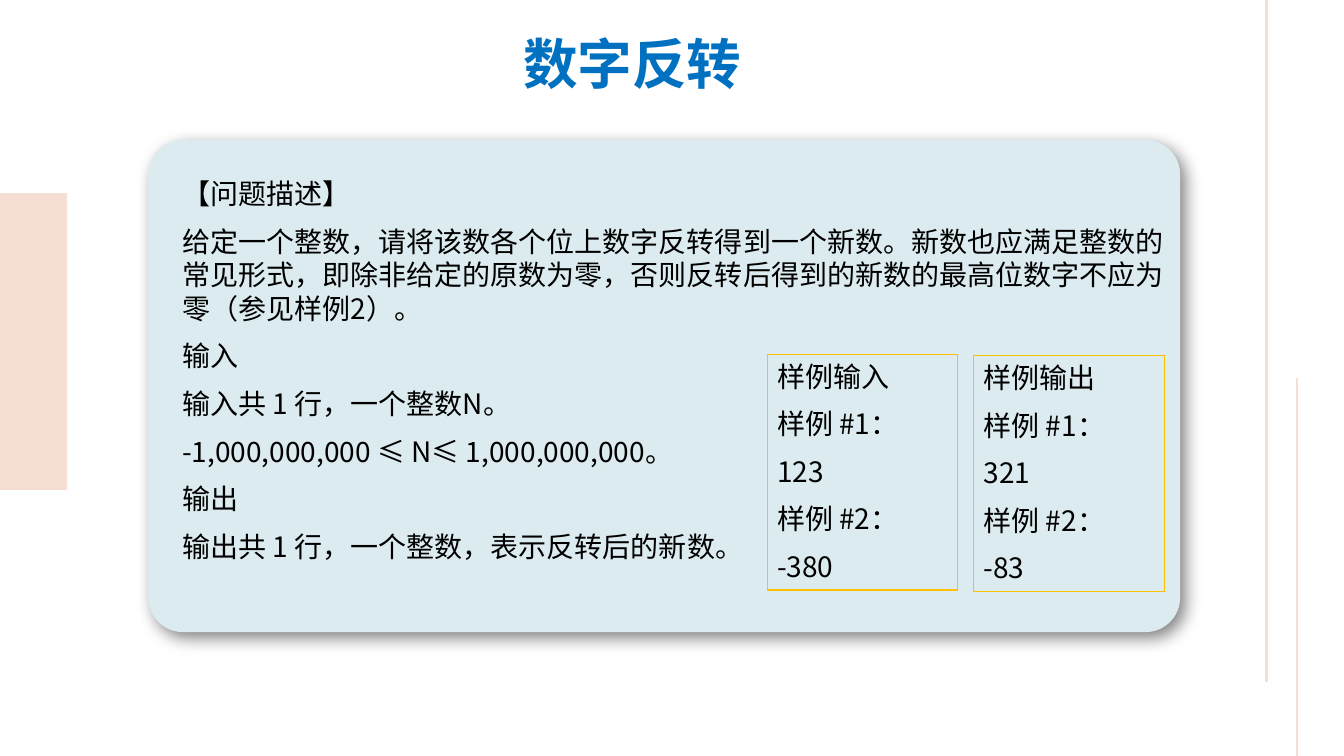
import pptx
import pptx.util
import pptx.oxml
import pptx.oxml.ns
import pptx.dml.color
import pptx.enum.shapes
import pptx.enum.text
import lxml.etree

Pt = pptx.util.Pt
RGBColor = pptx.dml.color.RGBColor
SHAPE = pptx.enum.shapes.MSO_SHAPE
qn = pptx.oxml.ns.qn

FACE = "Noto Sans CJK SC"
BLACK = RGBColor(0x00, 0x00, 0x00)
BLUE = RGBColor(0x00, 0x70, 0xC0)
PEACH = RGBColor(0xF6, 0xDE, 0xD4)
PALE = RGBColor(0xDC, 0xEB, 0xEF)
GOLD = RGBColor(0xFF, 0xC0, 0x00)

TASK = [
    "【问题描述】",
    "给定一个整数，请将该数各个位上数字反转得到一个新数。新数也应满足整数的"
    "常见形式，即除非给定的原数为零，否则反转后得到的新数的最高位数字不应为"
    "零（参见样例2）。",
    "输入",
    "输入共 1 行，一个整数N。",
    "-1,000,000,000 ≤ N≤ 1,000,000,000。",
    "输出",
    "输出共 1 行，一个整数，表示反转后的新数。",
]


def add_block(slide, kind, left, top, width, height, fill=None, line=None):
    shape = slide.shapes.add_shape(kind, Pt(left), Pt(top), Pt(width), Pt(height))
    shape.shadow.inherit = False
    if fill is None:
        shape.fill.background()
    else:
        shape.fill.solid()
        shape.fill.fore_color.rgb = fill
    if line is None:
        shape.line.fill.background()
    else:
        shape.line.color.rgb = line
        shape.line.width = Pt(0.75)
    return shape


def add_rule(slide, x, top, end, width):
    rule = slide.shapes.add_connector(
        pptx.enum.shapes.MSO_CONNECTOR.STRAIGHT, Pt(x), Pt(top), Pt(x), Pt(end))
    rule.line.color.rgb = PEACH
    rule.line.width = Pt(width)
    lxml.etree.SubElement(rule._element.spPr, qn("a:effectLst"))


def add_glow(shape):
    """Soft shadow falling to the lower right."""
    effect = shape._element.spPr.find(qn("a:effectLst"))
    shadow = lxml.etree.SubElement(
        effect, qn("a:outerShdw"), blurRad=str(Pt(12)), dist=str(Pt(6)),
        dir="2700000", algn="tl", rotWithShape="0")
    color = lxml.etree.SubElement(shadow, qn("a:srgbClr"), val=str(BLACK))
    lxml.etree.SubElement(color, qn("a:alpha"), val="50000")


def set_text(shape, lines, size=20, color=BLACK, bold=False, wrap=True, pitch=24):
    frame = shape.text_frame
    frame.word_wrap = wrap
    frame.vertical_anchor = pptx.enum.text.MSO_ANCHOR.TOP
    for index, line in enumerate(lines):
        para = frame.paragraphs[0] if index == 0 else frame.add_paragraph()
        para.text = line
        para.alignment = pptx.enum.text.PP_ALIGN.LEFT
        para.line_spacing = Pt(pitch)
        para.space_before = Pt(5 if index else 0)
        para.space_after = Pt(5)
        font = para.font
        font.size = Pt(size)
        font.bold = bold
        font.color.rgb = color
        font.name = FACE
        lxml.etree.SubElement(font._element, qn("a:ea"), typeface=FACE)


def add_label(slide, left, top, width, height, lines, **style):
    box = slide.shapes.add_textbox(Pt(left), Pt(top), Pt(width), Pt(height))
    set_text(box, lines, **style)


def add_case(slide, left, top, head, first, second):
    box = add_block(slide, SHAPE.RECTANGLE, left, top, 136, 168.5, line=GOLD)
    set_text(box, [head, "样例 #1：", first, "样例 #2：", second])


def main():
    deck = pptx.Presentation()
    deck.slide_width, deck.slide_height = Pt(960), Pt(540)
    slide = deck.slides.add_slide(deck.slide_layouts[6])

    # Side decor
    add_block(slide, SHAPE.RECTANGLE, 0, 138, 48, 212, fill=PEACH)
    add_rule(slide, 904.5, 0, 487.5, 2.25)
    add_rule(slide, 926.5, 270, 540, 1.5)

    # Title
    add_label(slide, 366.5, 17.5, 181.5, 54.5, ["数字反转"],
              size=39, color=BLUE, bold=True, wrap=False, pitch=47)

    # Task card
    card = add_block(slide, SHAPE.ROUNDED_RECTANGLE, 106, 100, 737, 351.5, fill=PALE)
    card.adjustments[0] = 0.07
    add_glow(card)
    add_label(slide, 123, 122.5, 716, 286, TASK)

    # Sample cases
    add_case(slide, 548, 253, "样例输入", "123", "-380")
    add_case(slide, 695.5, 254, "样例输出", "321", "-83")

    deck.save("out.pptx")


if __name__ == "__main__":
    main()
